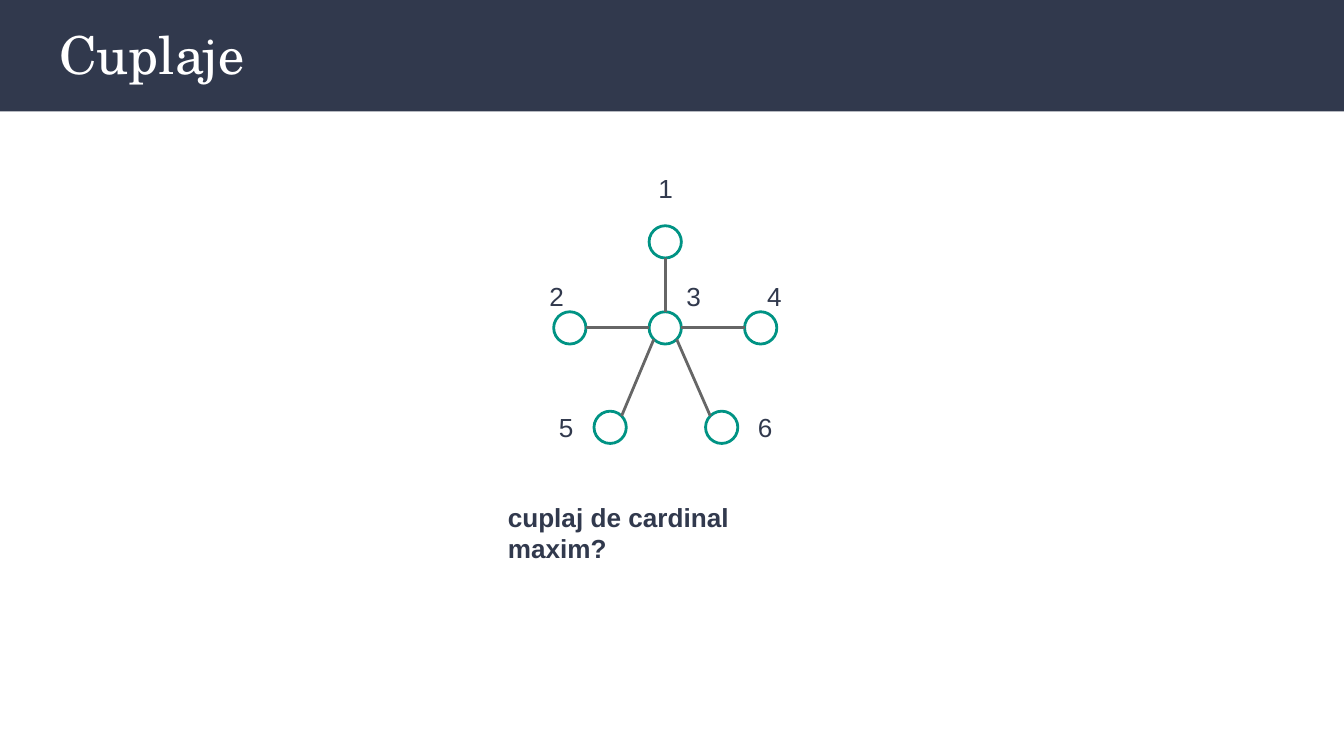
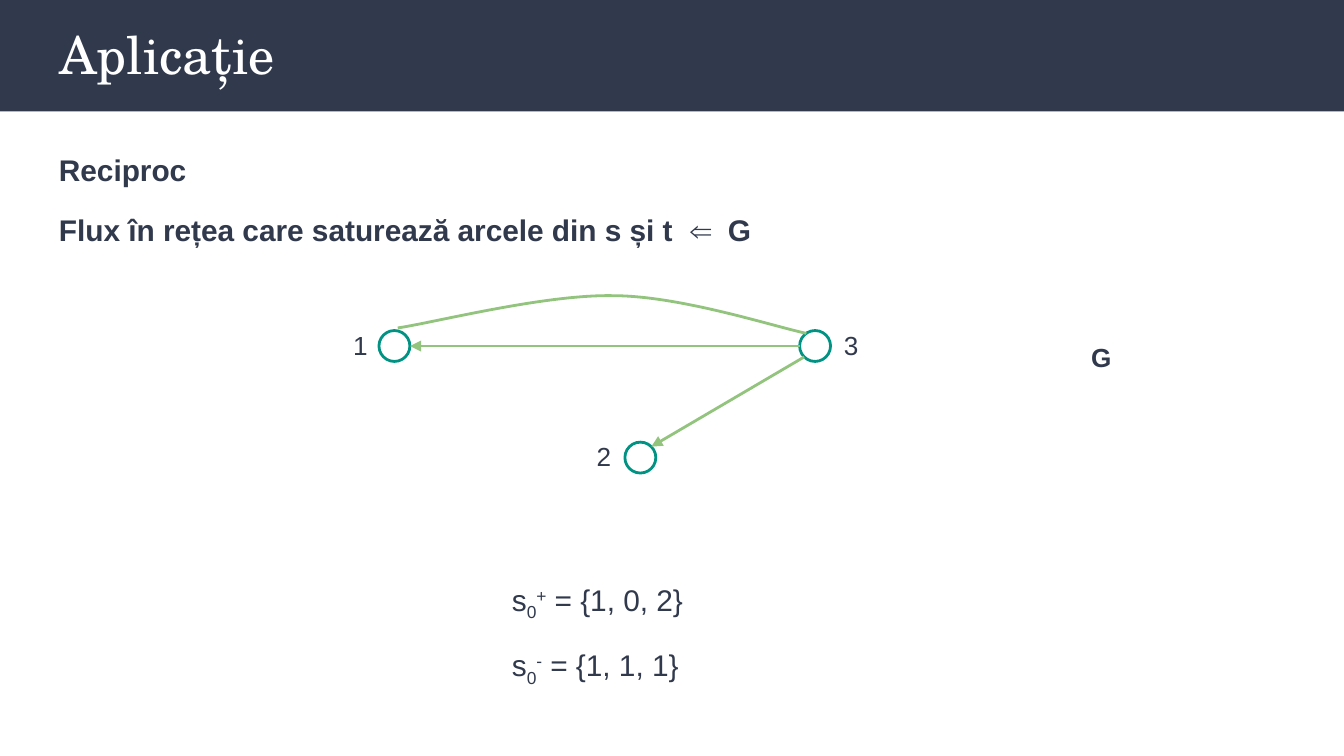
from dataclasses import dataclass

from lxml import etree
from pptx import Presentation, util as u
from pptx.dml.color import RGBColor
from pptx.enum import shapes as es, text as et
from pptx.oxml import ns

PX = 9144  # one px is a hundredth of an inch


@dataclass(frozen=True)
class Theme:
    navy: RGBColor = RGBColor.from_string("31394D")
    white: RGBColor = RGBColor.from_string("FFFFFF")
    teal: RGBColor = RGBColor.from_string("009384")
    gray: RGBColor = RGBColor.from_string("666666")
    green: RGBColor = RGBColor.from_string("93C47D")
    serif: str = "TeX Gyre Schola"
    sans: str = "Arial"
    head: int = 28
    body: int = 16
    label: int = 14
    line: float = 1.5


th = Theme()


def px(*nums):
    return [u.Emu(round(n * PX)) for n in nums]


def write(frame, *paras, size=th.label, color=th.navy, font=th.sans,
          bold=False, lead=None, gap=0, grow=True):
    """Fill a frame; a paragraph is a string or a list of (text, attributes)."""
    frame.word_wrap = True
    frame.auto_size = (et.MSO_AUTO_SIZE.SHAPE_TO_FIT_TEXT if grow
                       else et.MSO_AUTO_SIZE.NONE)
    frame.margin_left = frame.margin_right = px(10)[0]
    frame.margin_top = frame.margin_bottom = px(10)[0]
    for i, runs in enumerate(paras):
        para = frame.add_paragraph() if i else frame.paragraphs[0]
        para.alignment = et.PP_ALIGN.LEFT
        if lead:
            para.line_spacing = lead
        if i:
            para.space_before = para.space_after = u.Pt(gap)
        for words, attrs in [(runs, {})] if isinstance(runs, str) else runs:
            run = para.add_run()
            run.text = words
            run.font.size, run.font.name = u.Pt(size), font
            run.font.bold, run.font.color.rgb = bold, color
            for key, val in attrs.items():
                run._r.get_or_add_rPr().set(key, str(val))


# Directions from a node's centre to its rim
N, S, W, E = (0, -1), (0, 1), (-1, 0), (1, 0)
NW, NE, SW, SE = (-.71, -.71), (.71, -.71), (-.71, .71), (.71, .71)

# Graphs: node and label corners, edges as (from, side, to, side)
graphs = [
    dict(title="Cuplaje", size=24, wide=37, color=th.gray, arrow=False,
         nodes={"1": (483, 168), "2": (412, 232), "3": (483, 232),
                "4": (554, 232), "5": (442, 306), "6": (525, 306)},
         labels={"1": (480, 118), "2": (399, 199), "3": (501, 199),
                 "4": (561, 199), "5": (406, 296), "6": (554, 296)},
         edges=[("2", E, "3", W), ("3", N, "1", S), ("3", SW, "5", NE),
                ("3", SE, "6", NW), ("3", E, "4", W)]),
    dict(title="Aplicație", size=23, wide=52, color=th.green, arrow=True,
         nodes={"1": (282, 246), "2": (465, 329), "3": (595, 246)},
         labels={"1": (253, 235), "2": (434, 318), "3": (618, 235)},
         edges=[("3", W, "1", E), ("3", SW, "2", NE)]),
]

deck = Presentation()
deck.slide_width, deck.slide_height = px(1000, 562.5)
base = deck.slide_layouts[5]
pages = []

for graph in graphs:
    page = deck.slides.add_slide(base)
    pages.append(page)

    # Title band, kept in the layout
    if len(pages) == 1:
        band = page.shapes.add_shape(es.MSO_SHAPE.RECTANGLE,
                                     *px(0, 0, 1000, 83))
        band.shadow.inherit = False
        band.fill.solid()
        band.fill.fore_color.rgb = th.navy
        band.line.fill.background()
        base.shapes.element.insert(2, band.element)

    # Title
    title = page.shapes.title
    title.left, title.top, title.width, title.height = px(34, 6, 932, 68)
    title.text_frame.vertical_anchor = et.MSO_ANCHOR.MIDDLE
    write(title.text_frame, graph["title"], size=th.head, color=th.white,
          font=th.serif, grow=False)

    # Labels
    for name, spot in graph["labels"].items():
        box = page.shapes.add_textbox(*px(*spot, graph["wide"], 44))
        write(box.text_frame, name)

    # Nodes
    size = graph["size"]
    for spot in graph["nodes"].values():
        node = page.shapes.add_shape(es.MSO_SHAPE.OVAL,
                                     *px(*spot, size, size))
        node.shadow.inherit = False
        node.fill.background()
        node.line.color.rgb, node.line.width = th.teal, u.Pt(th.line)

    # Edges
    for one, out, two, into in graph["edges"]:
        ends = [corner + size / 2 * (1 + step)
                for name, side in ((one, out), (two, into))
                for corner, step in zip(graph["nodes"][name], side)]
        edge = page.shapes.add_connector(es.MSO_CONNECTOR.STRAIGHT, *px(*ends))
        edge.line.color.rgb, edge.line.width = graph["color"], u.Pt(th.line)
        if graph["arrow"]:
            etree.SubElement(edge.line._get_or_add_ln(), ns.qn("a:tailEnd"),
                             type="triangle")
        etree.SubElement(edge.element.spPr, ns.qn("a:effectLst"))

first, last = pages

# Question under the first graph
box = first.shapes.add_textbox(*px(368, 363, 260, 44))
write(box.text_frame, "cuplaj de cardinal maxim?", bold=True)

# Statement above the second graph
box = last.shapes.add_textbox(*px(34, 99, 932, 411))
write(box.text_frame, "Reciproc",
      [("Flux în rețea care saturează arcele din s și t", {}),
       (" ⇐", {"spc": 445}), (" G", {})],
      size=th.body, bold=True, lead=1.15, gap=10, grow=False)

# Curved edge: the outline's corners become Bezier control points
knots = [(323, 240), (405, 219), (456, 220),
         (506, 220), (576, 243), (600, 248)]
pen = last.shapes.build_freeform(296, 244, scale=PX)
pen.add_line_segments(knots, close=False)
curve = pen.convert_to_shape()
curve.shadow.inherit = False
curve.fill.background()
curve.line.color.rgb, curve.line.width = th.green, u.Pt(th.line)
legs = list(curve.element.iter(ns.qn("a:lnTo")))
for i in range(0, len(legs), 3):
    bend = etree.SubElement(legs[i].getparent(), ns.qn("a:cubicBezTo"))
    for leg in legs[i:i + 3]:
        bend.append(leg[0])
        leg.getparent().remove(leg)

# Graph name and degree sequences
box = last.shapes.add_textbox(*px(802, 244, 52, 44))
write(box.text_frame, "G", bold=True)
sums = [[("s", {}), ("0", {"baseline": -25000}), (sign, {"baseline": 30000}),
         (f" = {{{nums}}}", {})]
        for sign, nums in (("+", "1, 0, 2"), ("-", "1, 1, 1"))]
box = last.shapes.add_textbox(*px(371, 418, 158, 92))
write(box.text_frame, *sums, size=th.body, lead=1.15, gap=10)

deck.save("out.pptx")
